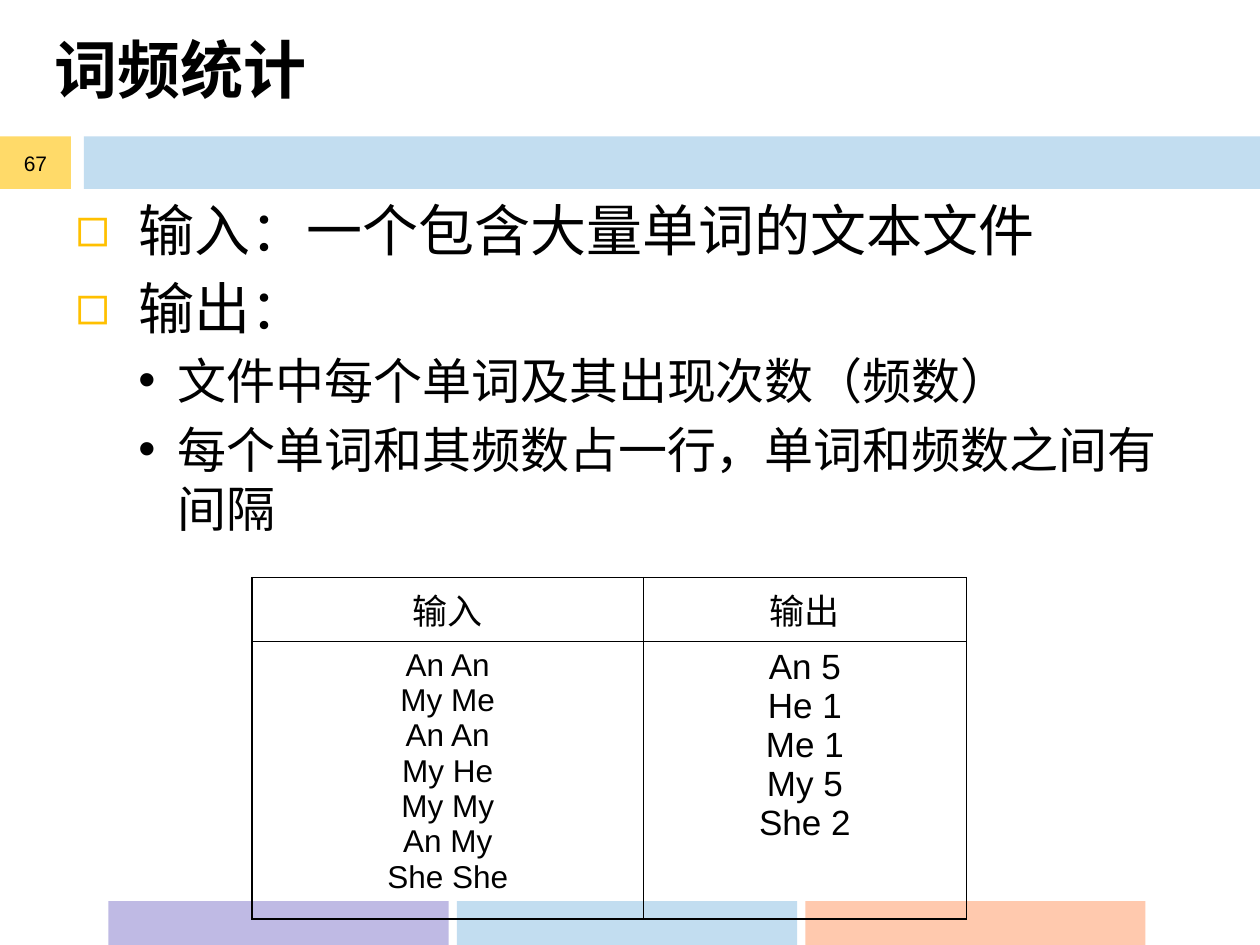
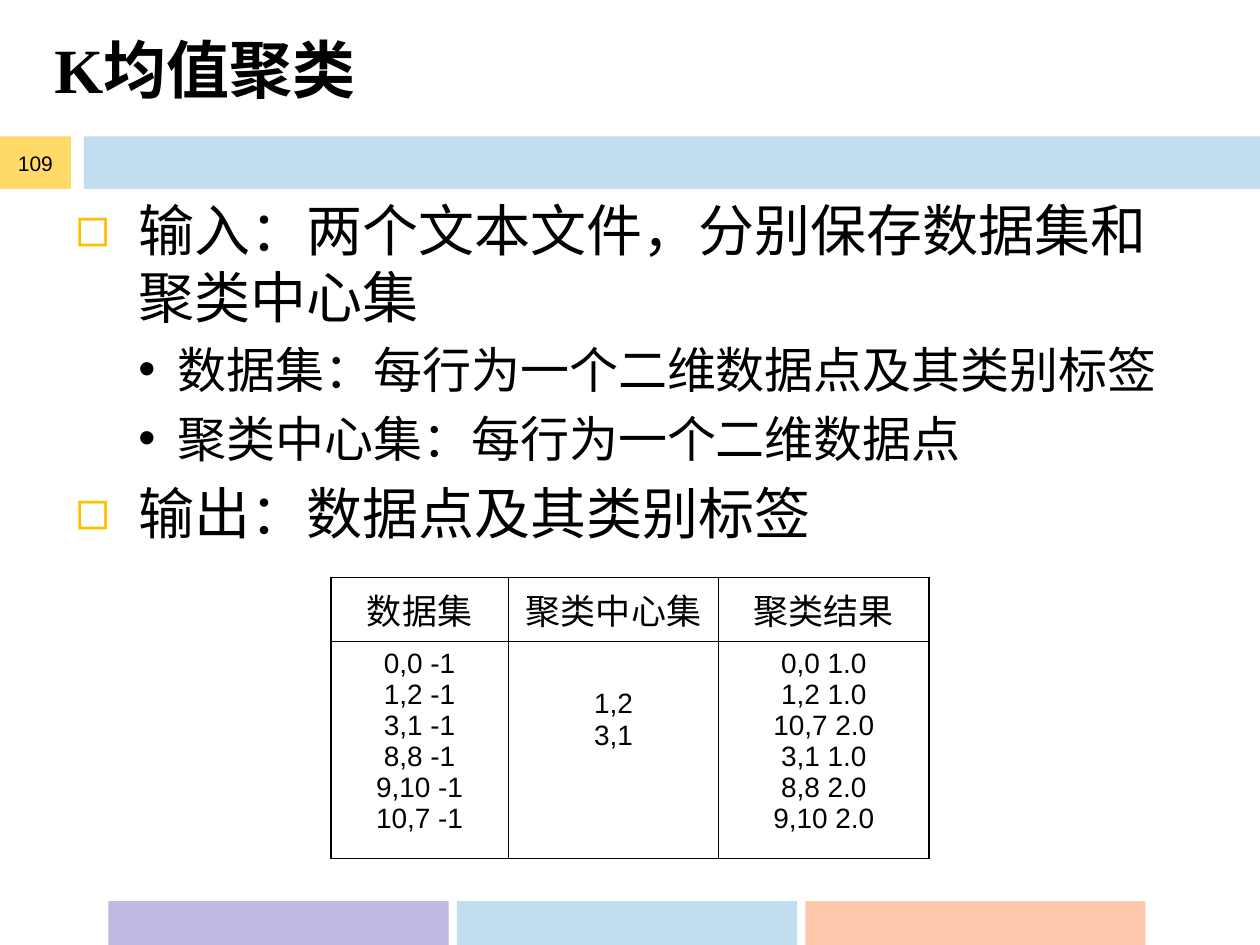
from lxml import etree
from pptx import Presentation
from pptx.dml.color import RGBColor
from pptx.enum.lang import MSO_LANGUAGE_ID
from pptx.enum.shapes import MSO_SHAPE
from pptx.enum.text import MSO_ANCHOR, PP_ALIGN
from pptx.oxml.ns import qn
from pptx.util import Pt

BLACK = RGBColor(0x00, 0x00, 0x00)
LIGHT_BLUE = RGBColor(0xC2, 0xDD, 0xF0)
LAVENDER = RGBColor(0xBF, 0xBA, 0xE4)
PEACH = RGBColor(0xFF, 0xC9, 0xAE)
PALE_GOLD = RGBColor(0xFF, 0xDA, 0x69)
GOLD = RGBColor(0xFF, 0xC0, 0x00)

BODY_FONT = "Arial"
TITLE_FONT = "Times New Roman"

BAND_TOP, BAND_HEIGHT = 78, 30
FOOTER_LEFT, FOOTER_TOP, FOOTER_STEP = 62, 515, 199.1
TABLE_TOP, HEADER_HEIGHT = 330, 36.6

# For each outline level: bullet, bullet colour, left margin, hanging indent, text size
LEVELS = [("◻", GOLD, 36, 36, 32), ("•", BLACK, 58.5, 22.5, 28)]


def format_paragraph(paragraph, size, font_name=BODY_FONT, bold=False, alignment=None):
    paragraph.alignment = alignment
    for run in paragraph.runs:
        font = run.font
        font.name = font_name
        font.size = Pt(size)
        font.bold = bold
        font.color.rgb = BLACK
        font.language_id = MSO_LANGUAGE_ID.SIMPLIFIED_CHINESE


def add_band(slide, left, top, width, height, color):
    shape = slide.shapes.add_shape(
        MSO_SHAPE.RECTANGLE, Pt(left), Pt(top), Pt(width), Pt(height))
    shape.shadow.inherit = False
    shape.fill.solid()
    shape.fill.fore_color.rgb = color
    shape.line.fill.background()
    return shape


def add_text_frame(slide, left, top, width, height):
    text_frame = slide.shapes.add_textbox(
        Pt(left), Pt(top), Pt(width), Pt(height)).text_frame
    text_frame.word_wrap = True
    return text_frame


def add_frame(slide, title, number):
    """Add the bands, title and slide number that every slide carries."""
    for index, color in enumerate((LAVENDER, LIGHT_BLUE, PEACH)):
        add_band(slide, FOOTER_LEFT + index * FOOTER_STEP, FOOTER_TOP, 194.4, 25, color)
    add_band(slide, 48, BAND_TOP, 672, BAND_HEIGHT, LIGHT_BLUE)

    title_frame = add_text_frame(slide, 24, -6, 676, 90)
    title_frame.vertical_anchor = MSO_ANCHOR.MIDDLE
    title_frame.text = title
    format_paragraph(title_frame.paragraphs[0], 36, TITLE_FONT, bold=True)

    number_frame = add_band(slide, 0, BAND_TOP, 40.5, BAND_HEIGHT, PALE_GOLD).text_frame
    number_frame.margin_left = number_frame.margin_right = 0
    number_frame.vertical_anchor = MSO_ANCHOR.MIDDLE
    number_frame.text = str(number)
    format_paragraph(number_frame.paragraphs[0], 12, alignment=PP_ALIGN.CENTER)


def set_bullet(paragraph, character, color, margin, hanging):
    properties = paragraph._p.get_or_add_pPr()
    properties.set("marL", str(Pt(margin)))
    properties.set("indent", str(-Pt(hanging)))
    bullet_color = etree.SubElement(properties, qn("a:buClr"))
    etree.SubElement(bullet_color, qn("a:srgbClr"), val=str(color))
    etree.SubElement(properties, qn("a:buFont"), typeface=BODY_FONT)
    etree.SubElement(properties, qn("a:buChar"), char=character)


def add_outline(slide, items):
    """Add bulleted text from (level, text) pairs."""
    text_frame = add_text_frame(slide, 36, 108, 648, 374.4)
    text_frame.text = "\n".join(text for _, text in items)
    for index, (level, _) in enumerate(items):
        paragraph = text_frame.paragraphs[index]
        character, color, margin, hanging, size = LEVELS[level]
        set_bullet(paragraph, character, color, margin, hanging)
        paragraph.level = level
        paragraph.space_before = Pt(0.2 * size if index else 0)
        format_paragraph(paragraph, size)


def set_borders(cell):
    properties = cell._tc.get_or_add_tcPr()
    for position, side in enumerate(("a:lnL", "a:lnR", "a:lnT", "a:lnB")):
        line = etree.Element(qn(side), w=str(Pt(1)))
        fill = etree.SubElement(line, qn("a:solidFill"))
        etree.SubElement(fill, qn("a:srgbClr"), val=str(BLACK))
        properties.insert(position, line)


def fill_cell(cell, lines, size):
    cell.fill.background()
    set_borders(cell)
    cell.text_frame.text = "\n".join(lines)
    for paragraph in cell.text_frame.paragraphs:
        format_paragraph(paragraph, size, alignment=PP_ALIGN.CENTER)


def add_example_table(slide, left, body_height, columns):
    """Add a table from (width, heading, body lines, body size) columns."""
    width = sum(column[0] for column in columns)
    table = slide.shapes.add_table(
        2, len(columns), Pt(left), Pt(TABLE_TOP), Pt(width),
        Pt(HEADER_HEIGHT + body_height)).table
    table.first_row = table.horz_banding = False
    table.rows[0].height = Pt(HEADER_HEIGHT)
    table.rows[1].height = Pt(body_height)
    for index, (column_width, heading, lines, size) in enumerate(columns):
        table.columns[index].width = Pt(column_width)
        fill_cell(table.cell(0, index), [heading], 20)
        fill_cell(table.cell(1, index), lines, size)
    return table


def add_word_count_slide(slide):
    add_frame(slide, "词频统计", 67)
    add_outline(slide, [
        (0, "输入：一个包含大量单词的文本文件"),
        (0, "输出："),
        (1, "文件中每个单词及其出现次数（频数）"),
        (1, "每个单词和其频数占一行，单词和频数之间有间隔"),
    ])
    words = ["An An", "My Me", "An An", "My He", "My My", "An My", "She She"]
    counts = ["An 5", "He 1", "Me 1", "My 5", "She 2"]
    add_example_table(slide, 144, 148.5, [
        (223.7, "输入", words, 18),
        (184.5, "输出", counts, 20),
    ])


def add_k_means_slide(slide):
    add_frame(slide, "K均值聚类", 109)
    add_outline(slide, [
        (0, "输入：两个文本文件，分别保存数据集和聚类中心集"),
        (1, "数据集：每行为一个二维数据点及其类别标签"),
        (1, "聚类中心集：每行为一个二维数据点"),
        (0, "输出：数据点及其类别标签"),
    ])
    points = ["0,0 -1", "1,2 -1", "3,1 -1", "8,8 -1", "9,10 -1", "10,7 -1"]
    centres = ["1,2", "3,1"]
    results = ["0,0 1.0", "1,2 1.0", "10,7 2.0", "3,1 1.0", "8,8 2.0", "9,10 2.0"]
    table = add_example_table(slide, 189, 124, [
        (101.5, "数据集", points, 16),
        (120.2, "聚类中心集", centres, 16),
        (120.2, "聚类结果", results, 16),
    ])
    table.cell(1, 1).margin_top = Pt(27)


def main():
    presentation = Presentation()
    presentation.slide_width = Pt(720)
    presentation.slide_height = Pt(540)
    blank_layout = presentation.slide_layouts[6]
    for build_slide in (add_word_count_slide, add_k_means_slide):
        build_slide(presentation.slides.add_slide(blank_layout))
    presentation.save("out.pptx")


if __name__ == "__main__":
    main()
